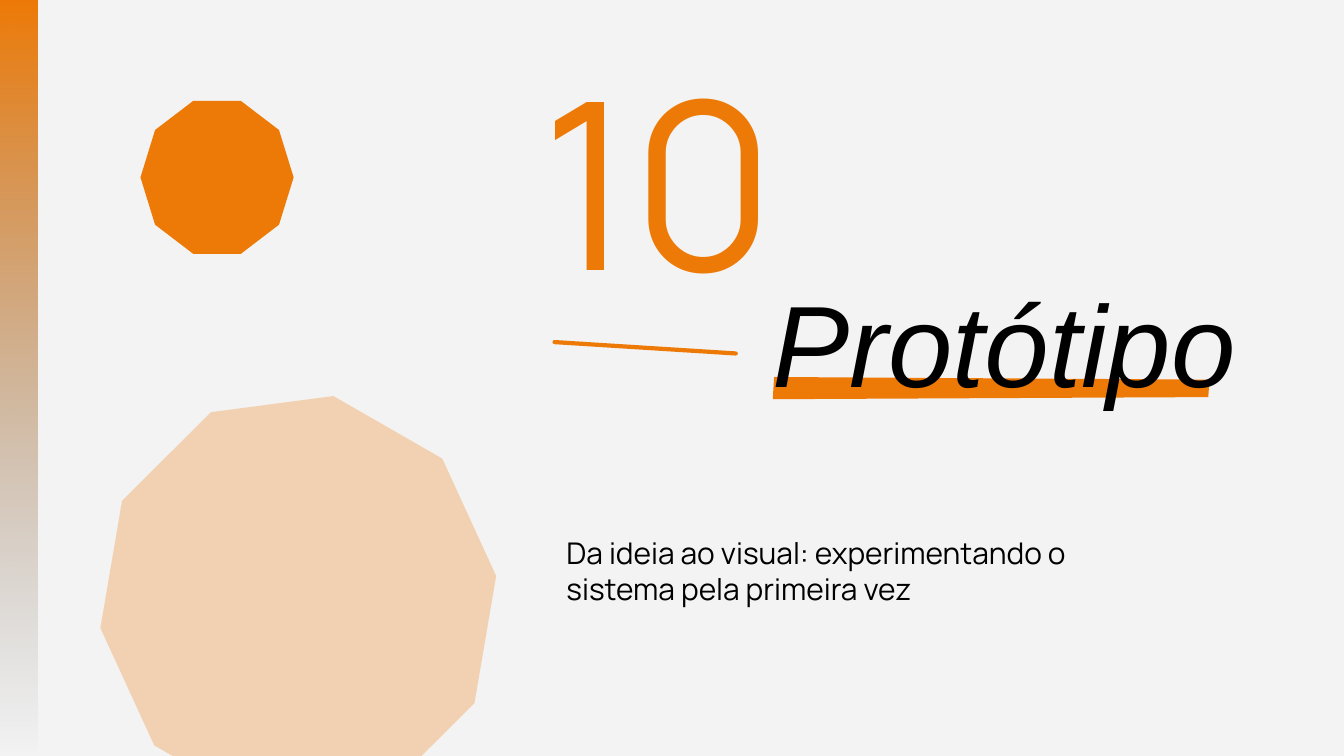
from typing import NamedTuple

from lxml.etree import SubElement
from pptx import Presentation
from pptx.dml.color import RGBColor
from pptx.enum.shapes import MSO_CONNECTOR, MSO_SHAPE
from pptx.enum.text import MSO_ANCHOR, MSO_AUTO_SIZE, PP_ALIGN
from pptx.oxml.ns import qn
from pptx.util import Cm, Pt

ORANGE = RGBColor(0xED, 0x7A, 0x07)
GRAY = RGBColor(0x73, 0x73, 0x73)
BLACK = RGBColor(0, 0, 0)
PAPER = RGBColor(0xF3, 0xF3, 0xF3)


class Decagon(NamedTuple):
    left: float
    top: float
    size: float
    rotation: float = 0
    opacity: int = 100


LARGE_DECAGON = Decagon(3.73, 15.21, 15.09, rotation=352.5, opacity=28)
SMALL_DECAGON = Decagon(5.31, 3.81, 5.79)
UNDERLINE = [(29.26, 14.25), (29.21, 15.09), (45.67, 15.01), (45.72, 14.35)]


def set_opacity(shape, percent: int) -> None:
    """Make the last colour of the shape's fill see-through."""
    color = list(shape.element.spPr.iter(qn("a:srgbClr")))[-1]
    SubElement(color, qn("a:alpha"), val=str(percent * 1000))


def make_plain(shape) -> None:
    shape.shadow.inherit = False
    shape.line.fill.background()


def fill_solid(shape, color: RGBColor) -> None:
    make_plain(shape)
    shape.fill.solid()
    shape.fill.fore_color.rgb = color


def add_decagon(page, decagon: Decagon) -> None:
    size = Cm(decagon.size)
    shape = page.shapes.add_shape(
        MSO_SHAPE.DECAGON, Cm(decagon.left), Cm(decagon.top), size, size)
    shape.rotation = decagon.rotation
    fill_solid(shape, ORANGE)
    if decagon.opacity < 100:
        set_opacity(shape, decagon.opacity)


def add_side_bar(page, height: int):
    bar = page.shapes.add_shape(MSO_SHAPE.RECTANGLE, 0, 0, Cm(1.4), height)
    make_plain(bar)
    bar.fill.gradient()
    bar.fill.gradient_angle = 270
    for stop, color in zip(bar.fill.gradient_stops, (ORANGE, GRAY)):
        stop.color.rgb = color
    set_opacity(bar, 0)
    return bar


def add_underline(page):
    start, *rest = [(Cm(x), Cm(y)) for x, y in UNDERLINE]
    builder = page.shapes.build_freeform(*start)
    builder.add_line_segments(rest, close=True)
    shape = builder.convert_to_shape()
    fill_solid(shape, ORANGE)
    return shape


def add_stroke(page) -> None:
    stroke = page.shapes.add_connector(
        MSO_CONNECTOR.STRAIGHT, Cm(20.96), Cm(12.93), Cm(27.81), Cm(13.36))
    stroke.line.color.rgb = ORANGE
    stroke.line.width = Pt(4.5)
    stroke.line._get_or_add_ln().set("cap", "rnd")
    SubElement(stroke.element.spPr, qn("a:effectLst"))


def write_text(box, text: str, *, font: str, size: float, spacing: float,
               color: RGBColor = BLACK, italic: bool = False) -> None:
    frame = box.text_frame
    frame.word_wrap = True
    frame.auto_size = MSO_AUTO_SIZE.NONE
    frame.vertical_anchor = MSO_ANCHOR.TOP
    frame.margin_left = frame.margin_top = 0
    frame.margin_right = frame.margin_bottom = 0
    para = frame.paragraphs[0]
    para.alignment = PP_ALIGN.LEFT
    para.line_spacing = Pt(spacing)
    span = para.add_run()
    span.text = text
    span.font.name = font
    span.font.size = Pt(size)
    span.font.italic = italic
    span.font.color.rgb = color


def main() -> None:
    deck = Presentation()
    deck.slide_width, deck.slide_height = Cm(50.8), Cm(28.575)
    page = deck.slides.add_slide(deck.slide_layouts[5])
    page.background.fill.solid()
    page.background.fill.fore_color.rgb = PAPER

    title = page.shapes.title
    title.left, title.top = Cm(29.21), Cm(12.37)
    title.width, title.height = Cm(26.06), Cm(3.68)
    write_text(title, "Protótipo", font="Arial", size=124, spacing=89.3, italic=True)

    # The title comes first on the page, so what lies behind it is moved back.
    for backdrop in (add_side_bar(page, deck.slide_height), add_underline(page)):
        title.element.addprevious(backdrop.element)

    add_decagon(page, LARGE_DECAGON)
    number = page.shapes.add_textbox(Cm(20.47), Cm(1.42), Cm(11.3), Cm(11.25))
    write_text(number, "10", font="Manrope", size=250, spacing=300, color=ORANGE)
    summary = page.shapes.add_textbox(Cm(21.41), Cm(20.22), Cm(20.55), Cm(2.77))
    write_text(summary, "Da ideia ao visual: experimentando o sistema pela primeira vez",
               font="Manrope", size=32, spacing=38.4)
    add_stroke(page)
    add_decagon(page, SMALL_DECAGON)
    deck.save("out.pptx")


if __name__ == "__main__":
    main()
